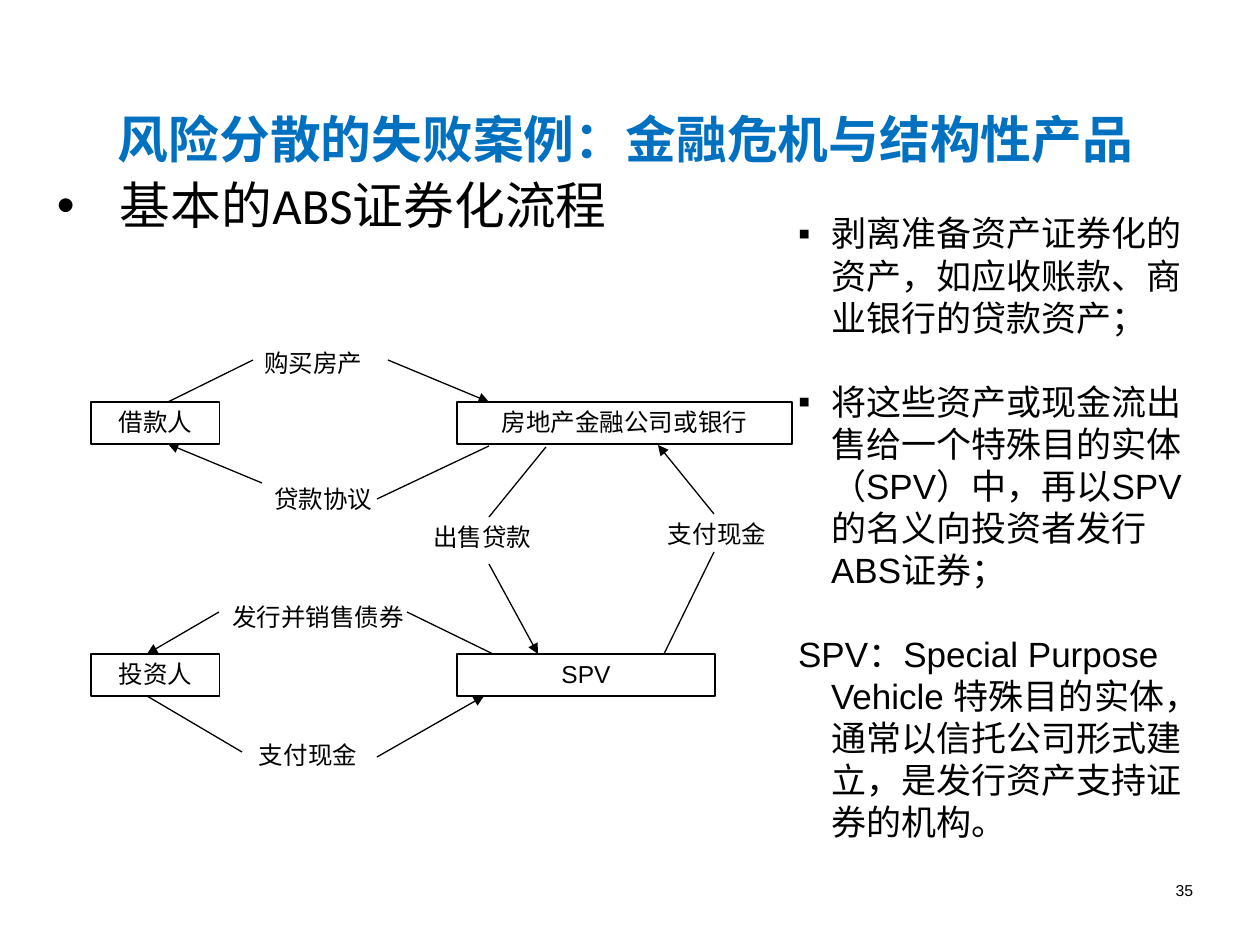
from dataclasses import dataclass

from lxml.etree import SubElement
from pptx import Presentation
from pptx.dml.color import RGBColor
from pptx.enum.shapes import MSO_CONNECTOR, MSO_SHAPE
from pptx.enum.text import MSO_ANCHOR, MSO_AUTO_SIZE, PP_ALIGN
from pptx.oxml.ns import qn
from pptx.util import Emu, Pt

EMU_PER_PX = 914400 / 126


@dataclass(frozen=True)
class Theme:
    black: RGBColor = RGBColor(0, 0, 0)
    white: RGBColor = RGBColor(255, 255, 255)
    blue: RGBColor = RGBColor(0x00, 0x70, 0xC0)
    heading: str = "Calibri"
    body: str = "Arial"
    node: str = "Times New Roman"
    cjk: str = "Noto Sans CJK SC"
    heading_size: int = 29
    body_size: int = 20
    label_size: int = 14
    number_size: int = 9
    line_width: float = 0.75


THEME = Theme()


def px(n):
    return Emu(round(n * EMU_PER_PX))


def set_insets(tf, left, top, right, bottom):
    tf.margin_left, tf.margin_top = px(left), px(top)
    tf.margin_right, tf.margin_bottom = px(right), px(bottom)


def style_runs(p, size, font, color=THEME.black, bold=False):
    for r in p.runs:
        r.font.size = Pt(size)
        r.font.bold = bold
        r.font.color.rgb = color
        r.font.name = font
        ea = SubElement(r.font._element, qn("a:ea"))
        ea.set("typeface", THEME.cjk)


def set_hanging(p, indent, bullet=None):
    pPr = p._p.get_or_add_pPr()
    pPr.set("marL", str(px(indent)))
    pPr.set("indent", str(-px(indent)))
    if bullet:
        SubElement(pPr, qn("a:buFont")).set("typeface", THEME.body)
        SubElement(pPr, qn("a:buChar")).set("char", bullet)


def add_text(s, box, insets=(13, 6, 13, 6), anchor=MSO_ANCHOR.TOP):
    tf = s.shapes.add_textbox(*map(px, box)).text_frame
    tf.word_wrap = True
    tf.vertical_anchor = anchor
    set_insets(tf, *insets)
    return tf


def add_heading(s, text, box, color, bold=False, bullet=None,
                align=PP_ALIGN.LEFT, anchor=MSO_ANCHOR.TOP):
    p = add_text(s, box, anchor=anchor).paragraphs[0]
    p.text = text
    p.alignment = align
    p.line_spacing = 0.9
    if bullet:
        set_hanging(p, 63, bullet)
    style_runs(p, THEME.heading_size, THEME.heading, color, bold)


def add_node(s, text, x, y, w, font):
    sp = s.shapes.add_shape(MSO_SHAPE.RECTANGLE, *map(px, (x, y, w, 42)))
    sp.shadow.inherit = False
    sp.fill.solid()
    sp.fill.fore_color.rgb = THEME.white
    sp.line.color.rgb = THEME.black
    sp.line.width = Pt(THEME.line_width)
    tf = sp.text_frame
    tf.vertical_anchor = MSO_ANCHOR.TOP
    set_insets(tf, 11, 5, 11, 5)
    p = tf.paragraphs[0]
    p.text = text
    p.alignment = PP_ALIGN.CENTER
    style_runs(p, THEME.label_size, font)


def add_label(s, text, x, y, w, font):
    tf = add_text(s, (x, y, w, 35), (11, 5, 11, 0), MSO_ANCHOR.MIDDLE)
    tf.word_wrap = False
    tf.auto_size = MSO_AUTO_SIZE.SHAPE_TO_FIT_TEXT
    tf.paragraphs[0].text = text
    style_runs(tf.paragraphs[0], THEME.label_size, font)


def add_line(s, x1, y1, x2, y2, arrow):
    line = s.shapes.add_connector(MSO_CONNECTOR.STRAIGHT, *map(px, (x1, y1, x2, y2)))
    line.line.color.rgb = THEME.black
    line.line.width = Pt(THEME.line_width)
    if arrow:
        SubElement(line.line._get_or_add_ln(), qn("a:tailEnd")).set("type", "triangle")
    SubElement(line._element.spPr, qn("a:effectLst"))


def add_notes_column(s, items, box):
    tf = add_text(s, box, (11, 5, 11, 5))
    for i, (text, bullet) in enumerate(items):
        p = tf.add_paragraph() if i else tf.paragraphs[0]
        p.text = text
        set_hanging(p, 33, bullet)
        if i:
            p.space_before = Pt(24)
        style_runs(p, THEME.body_size, THEME.body)


def add_page_number(s, text, box):
    p = add_text(s, box, (0, 0, 0, 0)).paragraphs[0]
    p.text = text
    p.alignment = PP_ALIGN.RIGHT
    style_runs(p, THEME.number_size, THEME.body)


def main():
    prs = Presentation()
    prs.slide_width, prs.slide_height = px(1260), px(945)
    s = prs.slides.add_slide(prs.slide_layouts[6])

    # Title and subtitle
    add_heading(s, "风险分散的失败案例：金融危机与结构性产品", (63, 115, 1126, 55),
                THEME.blue, bold=True, align=PP_ALIGN.CENTER, anchor=MSO_ANCHOR.MIDDLE)
    add_heading(s, "基本的ABS证券化流程", (44, 175, 1062, 596), THEME.black, bullet="•")

    # Parties: two columns by two rows
    left, right, upper, lower = 91, 457, 402, 654
    add_node(s, "借款人", left, upper, 129, THEME.node)
    add_node(s, "房地产金融公司或银行", right, upper, 335, THEME.node)
    add_node(s, "投资人", left, lower, 129, THEME.node)
    add_node(s, "SPV", right, lower, 258, THEME.body)

    # Flow lines: start, end, arrowhead at the end
    for line in (
        (168, 402, 253, 360, False), (388, 360, 489, 402, True),
        (489, 446, 377, 499, False), (262, 483, 168, 444, True),
        (546, 447, 489, 517, False), (489, 564, 538, 654, True),
        (664, 654, 714, 552, False), (714, 514, 658, 445, True),
        (493, 654, 407, 612, False), (219, 612, 147, 654, True),
        (147, 696, 242, 752, False), (377, 757, 484, 696, True),
    ):
        add_line(s, *line)

    # Flow labels
    for label in (
        ("购买房产", 253, 343, 121, THEME.body),
        ("贷款协议", 263, 479, 121, THEME.body),
        ("出售贷款", 422, 517, 121, THEME.cjk),
        ("支付现金", 657, 514, 121, THEME.cjk),
        ("发行并销售债券", 221, 597, 194, THEME.cjk),
        ("支付现金", 248, 735, 121, THEME.cjk),
    ):
        add_label(s, *label)

    # Explanation and page number
    add_notes_column(s, (
        ("剥离准备资产证券化的资产，如应收账款、商业银行的贷款资产；", "▪"),
        ("将这些资产或现金流出售给一个特殊目的实体（SPV）中，再以SPV的名义向投资者发行ABS证券；", "▪"),
        ("SPV：Special Purpose Vehicle 特殊目的实体，通常以信托公司形式建立，"
         "是发行资产支持证券的机构。", None),
    ), (787, 207, 407, 406))
    add_page_number(s, "35", (983, 881, 210, 19))

    prs.save("out.pptx")


if __name__ == "__main__":
    main()
